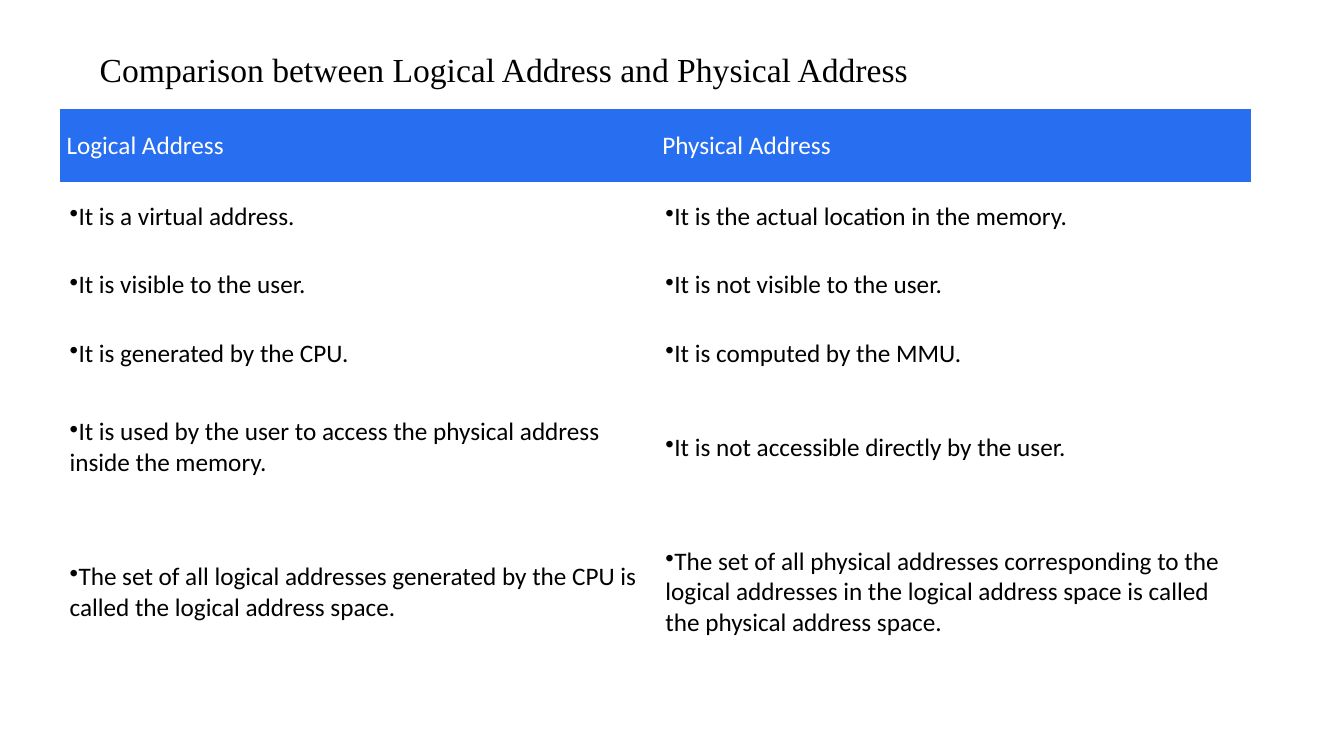
"""Build a slide comparing logical and physical addresses in a table."""
from dataclasses import dataclass

from lxml.etree import SubElement
from pptx import Presentation
from pptx.dml.color import RGBColor
from pptx.enum.text import MSO_ANCHOR as Anchor, MSO_AUTO_SIZE as AutoSize
from pptx.oxml.ns import qn
from pptx.slide import Slide
from pptx.table import Table, _Cell as Cell
from pptx.text.text import _Paragraph as Paragraph
from pptx.util import Emu, Pt

EMU_PER_PX = 9144
NO_GRID_STYLE = "{2D5ABB26-0587-4C30-8999-92F81FD0307C}"


@dataclass(frozen=True)
class Theme:
    header_fill: RGBColor = RGBColor(0x27, 0x6E, 0xF1)
    header_ink: RGBColor = RGBColor(0xFF, 0xFF, 0xFF)
    ink: RGBColor = RGBColor(0x00, 0x00, 0x00)
    heading_font: str = "Times New Roman"
    body_font: str = "Calibri"
    heading_size: int = 24
    body_size: int = 18


@dataclass(frozen=True)
class Comparison:
    height: int
    logical: str
    physical: str
    is_header: bool = False


THEME = Theme()
HEADING = "Comparison between Logical Address and Physical Address"
COLUMN_WIDTH = 591
HEADER_INSET = 7
COMPARISONS = (
    Comparison(73, "Logical Address", "Physical Address", is_header=True),
    Comparison(68, "It is a virtual address.", "It is the actual location in the memory."),
    Comparison(68, "It is visible to the user.", "It is not visible to the user."),
    Comparison(68, "It is generated by the CPU.", "It is computed by the MMU."),
    Comparison(
        118,
        "It is used by the user to access the physical address inside the memory.",
        "It is not accessible directly by the user.",
    ),
    Comparison(
        169,
        "The set of all logical addresses generated by the CPU is called "
        "the logical address space.",
        "The set of all physical addresses corresponding to the logical addresses "
        "in the logical address space is called the physical address space.",
    ),
)


def px(length: int) -> Emu:
    return Emu(length * EMU_PER_PX)


def style_text(paragraph: Paragraph, font: str, size: int, color: RGBColor) -> None:
    for run in paragraph.runs:
        run.font.name = font
        run.font.size = Pt(size)
        run.font.color.rgb = color


def add_bullet(paragraph: Paragraph) -> None:
    properties = paragraph._p.get_or_add_pPr()
    properties.set("marL", "0")
    properties.set("indent", "0")
    SubElement(properties, qn("a:buChar")).set("char", "•")


def fill_cell(cell: Cell, wording: str, is_header: bool) -> None:
    cell.text_frame.text = wording
    cell.vertical_anchor = Anchor.MIDDLE
    statement = cell.text_frame.paragraphs[0]
    if is_header:
        cell.fill.solid()
        cell.fill.fore_color.rgb = THEME.header_fill
        cell.margin_left = cell.margin_right = px(HEADER_INSET)
        cell.margin_top = cell.margin_bottom = px(HEADER_INSET)
    else:
        cell.fill.background()
        add_bullet(statement)
    color = THEME.header_ink if is_header else THEME.ink
    style_text(statement, THEME.body_font, THEME.body_size, color)


def clear_table_style(table: Table) -> None:
    table.first_row = False
    table.horz_banding = False
    table._tbl.tblPr.find(qn("a:tableStyleId")).text = NO_GRID_STYLE


def add_comparison_table(slide: Slide) -> None:
    total_height = sum(comparison.height for comparison in COMPARISONS)
    table = slide.shapes.add_table(
        len(COMPARISONS), 2, px(59), px(108), px(2 * COLUMN_WIDTH), px(total_height)
    ).table
    clear_table_style(table)
    for column in table.columns:
        column.width = px(COLUMN_WIDTH)
    for row, comparison in zip(table.rows, COMPARISONS):
        row.height = px(comparison.height)
        for cell, wording in zip(row.cells, (comparison.logical, comparison.physical)):
            fill_cell(cell, wording, comparison.is_header)


def add_heading(slide: Slide) -> None:
    heading = slide.shapes.add_textbox(px(89), px(44), px(829), px(50)).text_frame
    heading.text = HEADING
    heading.word_wrap = False
    heading.auto_size = AutoSize.SHAPE_TO_FIT_TEXT
    heading.vertical_anchor = Anchor.MIDDLE
    style_text(heading.paragraphs[0], THEME.heading_font, THEME.heading_size, THEME.ink)


def main() -> None:
    presentation = Presentation()
    presentation.slide_width = px(1333)
    presentation.slide_height = px(750)
    slide = presentation.slides.add_slide(presentation.slide_layouts[6])
    add_comparison_table(slide)
    add_heading(slide)
    presentation.save("out.pptx")


if __name__ == "__main__":
    main()
